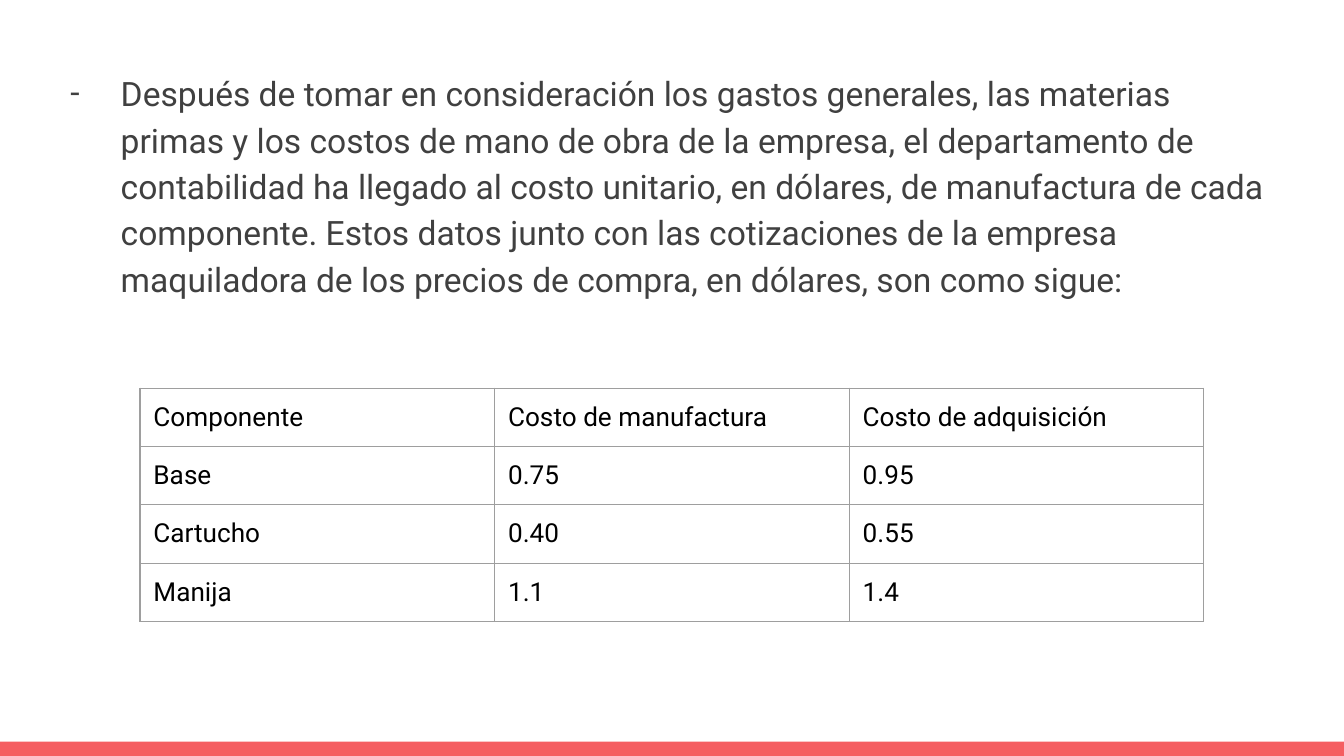
import pptx
import pptx.dml.color
import pptx.enum.shapes
import pptx.oxml
import pptx.oxml.ns
import pptx.util

Pt = pptx.util.Pt
COLORS = {"band": "F55E61", "body": "404040", "cell": "000000", "border": "9E9E9E"}
FONT = "Roboto"
SLIDE_WIDTH, SLIDE_HEIGHT = 720, 405
BAND_HEIGHT = 7.7
INSET = 7.2
INTRODUCTION = (
    "Después de tomar en consideración los gastos generales, las materias primas "
    "y los costos de mano de obra de la empresa, el departamento de contabilidad "
    "ha llegado al costo unitario, en dólares, de manufactura de cada componente. "
    "Estos datos junto con las cotizaciones de la empresa maquiladora de los "
    "precios de compra, en dólares, son como sigue:"
)
COSTS = [
    ("Componente", "Costo de manufactura", "Costo de adquisición"),
    ("Base", "0.75", "0.95"),
    ("Cartucho", "0.40", "0.55"),
    ("Manija", "1.1", "1.4"),
]
TABLE_LEFT, TABLE_TOP = 75, 208
COLUMN_WIDTH, ROW_HEIGHT = 190, 30.2


def rgb(name):
    return pptx.dml.color.RGBColor.from_string(COLORS[name])


def xml(text):
    return pptx.oxml.parse_xml(text.replace(">", f" {pptx.oxml.ns.nsdecls('a')}>", 1))


def write_text(text_frame, text, *, size, color):
    text_frame.word_wrap = True
    paragraph = text_frame.paragraphs[0]
    run = paragraph.add_run()
    run.text = text
    run.font.name = FONT
    run.font.size = Pt(size)
    run.font.color.rgb = rgb(color)
    return paragraph


def set_margins(target):
    target.margin_left = target.margin_right = Pt(INSET)
    target.margin_top = target.margin_bottom = Pt(INSET)


def add_dash(paragraph, left, indent):
    properties = paragraph._p.get_or_add_pPr()
    properties.set("marL", str(Pt(left)))
    properties.set("indent", str(Pt(indent)))
    properties.append(xml(f'<a:buClr><a:srgbClr val="{COLORS["body"]}"/></a:buClr>'))
    properties.append(xml(f'<a:buFont typeface="{FONT}"></a:buFont>'))
    properties.append(xml('<a:buChar char="-"></a:buChar>'))


def add_borders(cell):
    properties = cell._tc.get_or_add_tcPr()
    for position, side in enumerate(("lnL", "lnR", "lnT", "lnB")):
        border = xml(
            f'<a:{side} w="{Pt(0.75)}"><a:solidFill>'
            f'<a:srgbClr val="{COLORS["border"]}"/></a:solidFill></a:{side}>'
        )
        properties.insert(position, border)


def add_band(slide):
    band = slide.shapes.add_shape(
        pptx.enum.shapes.MSO_SHAPE.RECTANGLE,
        Pt(0), Pt(SLIDE_HEIGHT - BAND_HEIGHT), Pt(SLIDE_WIDTH), Pt(BAND_HEIGHT),
    )
    band.shadow.inherit = False
    band.fill.solid()
    band.fill.fore_color.rgb = rgb("band")
    band.line.fill.background()


def add_introduction(slide):
    box = slide.shapes.add_textbox(Pt(21.6), Pt(28.8), Pt(671), Pt(269.3))
    set_margins(box.text_frame)
    paragraph = write_text(box.text_frame, INTRODUCTION, size=18, color="body")
    paragraph.line_spacing = 1.15
    paragraph.space_before = Pt(10)
    add_dash(paragraph, left=36, indent=-27)


def add_cost_table(slide):
    row_count, column_count = len(COSTS), len(COSTS[0])
    table = slide.shapes.add_table(
        row_count, column_count, Pt(TABLE_LEFT), Pt(TABLE_TOP),
        Pt(column_count * COLUMN_WIDTH), Pt(row_count * ROW_HEIGHT),
    ).table
    table.first_row = table.horz_banding = False
    for column in table.columns:
        column.width = Pt(COLUMN_WIDTH)
    for row, values in zip(table.rows, COSTS):
        row.height = Pt(ROW_HEIGHT)
        for cell, value in zip(row.cells, values):
            set_margins(cell)
            write_text(cell.text_frame, value, size=14, color="cell")
            cell.fill.background()
            add_borders(cell)


def main():
    presentation = pptx.Presentation()
    presentation.slide_width = Pt(SLIDE_WIDTH)
    presentation.slide_height = Pt(SLIDE_HEIGHT)
    slide = presentation.slides.add_slide(presentation.slide_layouts[6])
    add_band(slide)
    add_introduction(slide)
    add_cost_table(slide)
    presentation.save("out.pptx")


if __name__ == "__main__":
    main()
